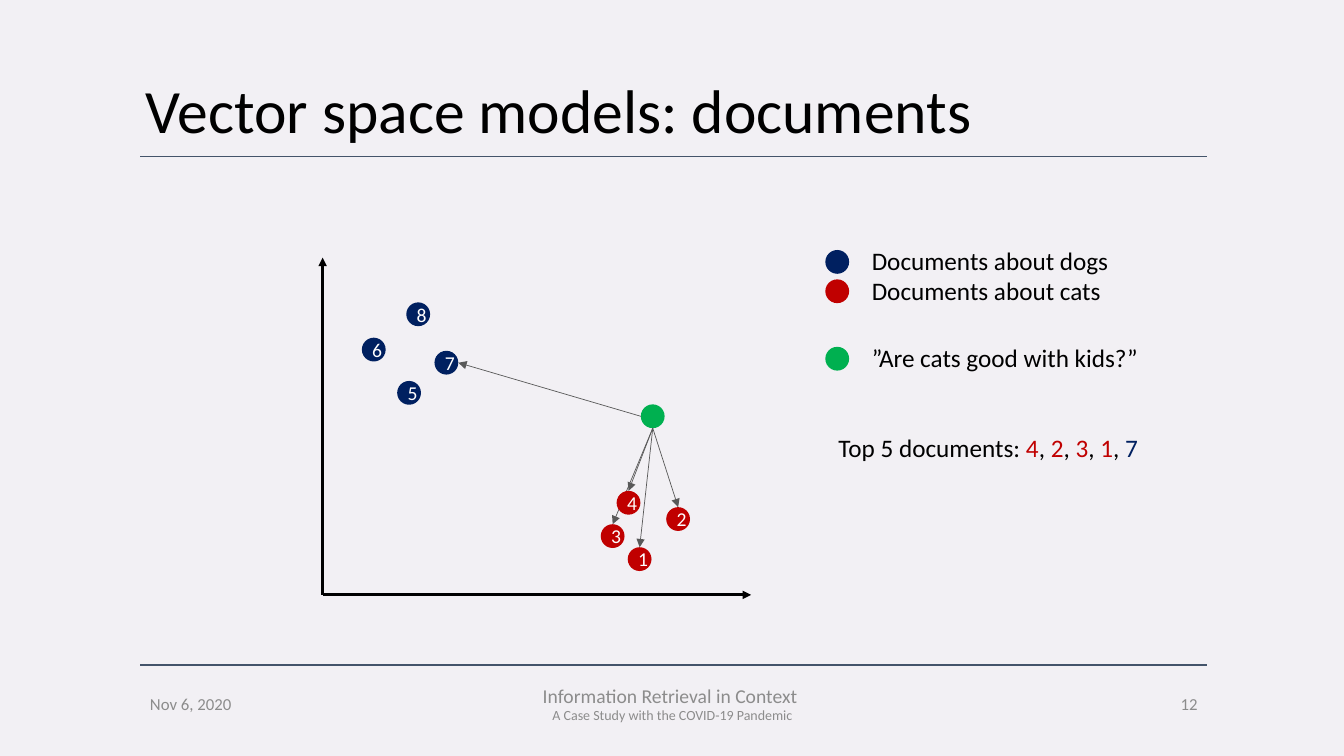
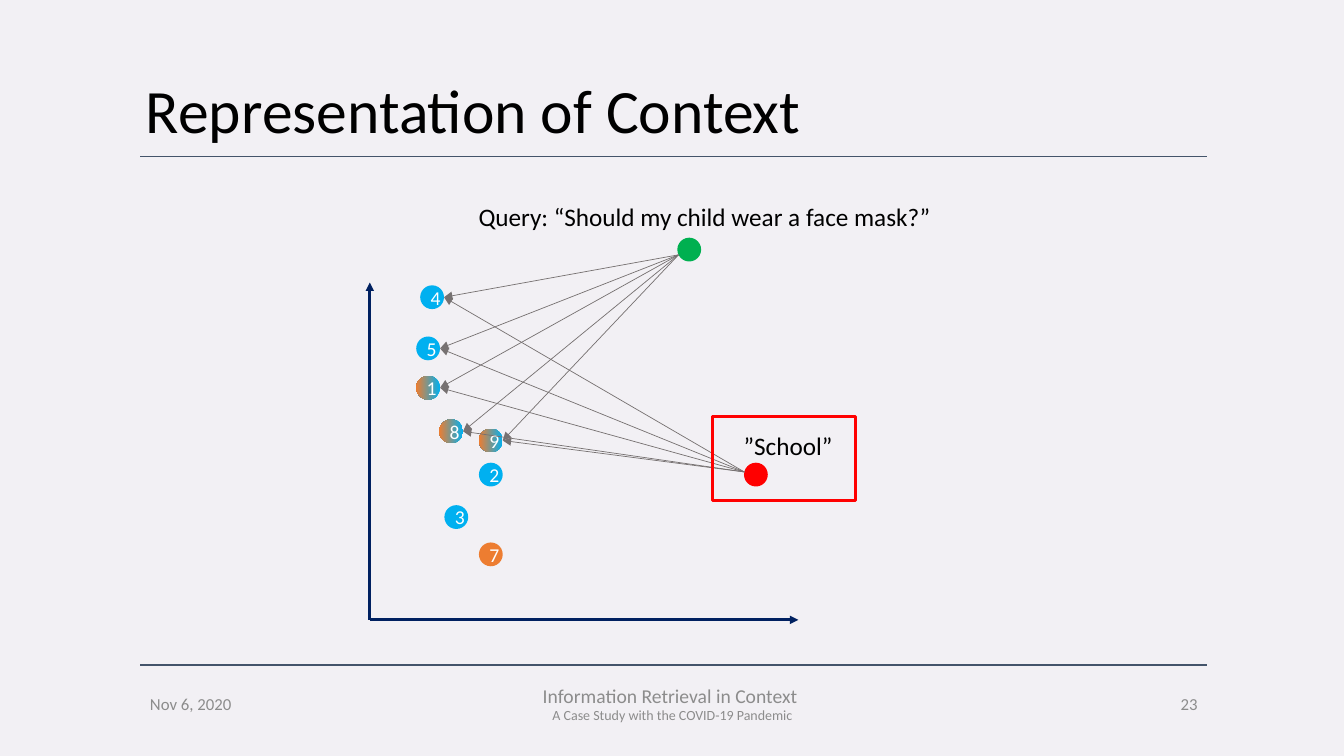
from math import cos, radians, sin

from lxml.etree import SubElement as Sub
from pptx import Presentation
from pptx.dml.color import RGBColor as Rgb
from pptx.enum.shapes import MSO_CONNECTOR as Line, MSO_SHAPE as Kind
from pptx.enum.text import MSO_ANCHOR as Anchor, PP_ALIGN as Align
from pptx.oxml.ns import qn
from pptx.util import Cm, Pt

HUES = {
    "back": "F2F0F4", "rule": "44546A", "ink": "000000", "pale": "FFFFFF",
    "foot": "8C8C8C", "navy": "002060", "wine": "C00000", "green": "00B050",
    "sky": "00B0F0", "clay": "ED7D31", "red": "FF0000",
    "dark": "595959", "grey": "767171",
}
FONT = "Calibri"
DOT = 0.6
AXES = (10.8, 8.5)
LEFT, RIGHT = 3.53, 30.43
RULES = (3.94, 16.76)
TITLE = (3.43, 1.02, 29.21, 3.68)
FOOT = (17.22, 1.02)
EAST, SOUTH, WEST, NORTH = 0, 90, 180, 270
MIX = ("sky", "clay")
DATE = "Nov 6, 2020"
TALK = [("Information Retrieval in Context ", 14),
        ("A Case Study with the COVID-19 Pandemic", 10)]

SLIDES = [
    {
        "title": "Vector space models: documents",
        "page": "12",
        "zero": (8.13, 14.99),
        "axis": "ink",
        "link": "dark",
        "dots": {
            "8": (10.54, 7.92, "navy"), "5": (10.31, 9.9, "navy"),
            "7": (11.25, 9.14, "navy"), "3": (15.44, 13.51, "wine"),
            "1": (16.12, 14.09, "wine"), "4": (15.84, 12.67, "wine"),
            "2": (17.09, 13.08, "wine"), "6": (9.42, 8.81, "navy"),
        },
        "marks": {
            "query": (16.45, 10.49, "green"), "dogs": (21.1, 6.6, "navy"),
            "cats": (21.1, 7.34, "wine"), "kids": (21.1, 9.04, "green"),
        },
        "under": [("query", SOUTH, "3", NORTH)],
        "over": [("query", WEST, "7", EAST), ("query", SOUTH, "142", NORTH)],
        "texts": [
            ((20.88, 10.77, 8.4, 1.02), [[
                ("Top 5 documents: ", "ink"), ("4", "wine"), (", ", "ink"),
                ("2", "wine"), (", ", "ink"), ("3", "wine"), (", ", "ink"),
                ("1", "wine"), (", ", "ink"), ("7", "navy")]]),
            ((21.72, 6.05, 8, 1.8), [[("Documents about dogs", "ink")],
                                     [("Documents about cats", "ink")]]),
            ((21.72, 8.51, 8, 1.02), [[("”Are cats good with kids?”", "ink")]]),
        ],
        "frames": [],
    },
    {
        "title": "Representation of Context",
        "page": "23",
        "zero": (9.32, 15.62),
        "axis": "navy",
        "link": "grey",
        "dots": {
            "4": (10.89, 7.49, "sky"), "8": (11.37, 10.87, MIX),
            "1": (10.79, 9.77, MIX), "2": (12.37, 11.96, "sky"),
            "7": (12.37, 13.97, "clay"), "9": (12.37, 11.1, MIX),
            "3": (11.5, 13.03, "sky"), "5": (10.79, 8.78, "sky"),
        },
        "marks": {"query": (17.37, 6.29, "green"),
                  "school": (19.05, 11.96, "red")},
        "under": [],
        "over": [("query", 154, "45189", EAST), ("school", 193, "45189", EAST)],
        "texts": [
            ((11.81, 4.95, 12.5, 1.04),
             [[("Query: “Should my child wear a face mask?”", "ink")]]),
            ((18.49, 10.72, 2.97, 1.12), [[("”School”", "ink")]]),
        ],
        "frames": [(17.96, 10.49, 3.61, 2.13, "red")],
    },
]


def hue(name):
    return Rgb.from_string(HUES[name])


def form(item, **vals):
    for key, val in vals.items():
        setattr(item, key, val)


def write(frame, rows, align=Align.LEFT, **vals):
    for num, row in enumerate(rows):
        para = frame.add_paragraph() if num else frame.paragraphs[0]
        form(para, alignment=align, **vals)
        for text, size, tint in row:
            run = para.add_run()
            run.text = text
            form(run.font, name=FONT, size=Pt(size))
            run.font.color.rgb = hue(tint)


def label(slide, box, rows, align=Align.LEFT, anchor=Anchor.TOP, **vals):
    frame = slide.shapes.add_textbox(*map(Cm, box)).text_frame
    form(frame, word_wrap=True, vertical_anchor=anchor)
    write(frame, rows, align, **vals)


def stroke(slide, start, end, tint, width, arrow=True):
    line = slide.shapes.add_connector(
        Line.STRAIGHT, *map(Cm, (*start, *end)))
    line.line.color.rgb = hue(tint)
    line.line.width = Pt(width)
    if arrow:
        Sub(line.line._ln, qn("a:tailEnd"), type="triangle")
    Sub(line._element.spPr, qn("a:effectLst"))


def dot(slide, x, y, tint, text=""):
    half = DOT / 2
    oval = slide.shapes.add_shape(
        Kind.OVAL, *map(Cm, (x - half, y - half, DOT, DOT)))
    oval.shadow.inherit = False
    oval.line.fill.background()
    if tint == MIX:
        oval.fill.gradient()
        oval.fill.gradient_angle = 180
        for stop, name in zip(oval.fill.gradient_stops, MIX):
            stop.color.rgb = hue(name)
    else:
        oval.fill.solid()
        oval.fill.fore_color.rgb = hue(tint)
    if text:
        write(oval.text_frame, [[(text, 14, "pale")]], Align.CENTER)


def rim(spot, angle):
    x, y, _ = spot
    turn = radians(angle)
    return x + DOT / 2 * cos(turn), y + DOT / 2 * sin(turn)


def join(slide, data, links):
    for name, out, ends, into in links:
        for end in ends:
            stroke(slide, rim(data["marks"][name], out),
                   rim(data["dots"][end], into), data["link"], 0.5)


def dress(slide, title, page):
    for y in RULES:
        stroke(slide, (LEFT, y), (RIGHT, y), "rule", 1, False)
    label(slide, TITLE, [[(title, 44, "ink")]],
          anchor=Anchor.MIDDLE, line_spacing=0.9)
    y, high = FOOT
    for x, wide, align, rows in (
        (LEFT, 6.43, Align.LEFT, [(DATE, 12)]),
        (11.23, 11.43, Align.CENTER, TALK),
        (RIGHT - 6.5, 6.5, Align.RIGHT, [(page, 12)]),
    ):
        label(slide, (x, y, wide, high),
              [[(text, size, "foot")] for text, size in rows],
              align, Anchor.MIDDLE)


def plot(slide, data):
    x, y = data["zero"]
    wide, high = AXES
    join(slide, data, data["under"])
    for text, spot in data["dots"].items():
        dot(slide, *spot, text)
    for end in ((x + wide, y), (x, y - high)):
        stroke(slide, (x, y), end, data["axis"], 2)
    for spot in data["marks"].values():
        dot(slide, *spot)
    join(slide, data, data["over"])
    for box, rows in data["texts"]:
        label(slide, box,
              [[(text, 18, tint) for text, tint in row] for row in rows])
    for *box, tint in data["frames"]:
        rect = slide.shapes.add_shape(Kind.RECTANGLE, *map(Cm, box))
        rect.shadow.inherit = False
        rect.fill.background()
        rect.line.color.rgb = hue(tint)
        rect.line.width = Pt(2)


def main():
    deck = Presentation()
    form(deck, slide_width=Cm(33.87), slide_height=Cm(19.05))
    back = deck.slide_master.background.fill
    back.solid()
    back.fore_color.rgb = hue("back")
    for data in SLIDES:
        slide = deck.slides.add_slide(deck.slide_layouts[6])
        dress(slide, data["title"], data["page"])
        plot(slide, data)
    deck.save("out.pptx")


if __name__ == "__main__":
    main()
